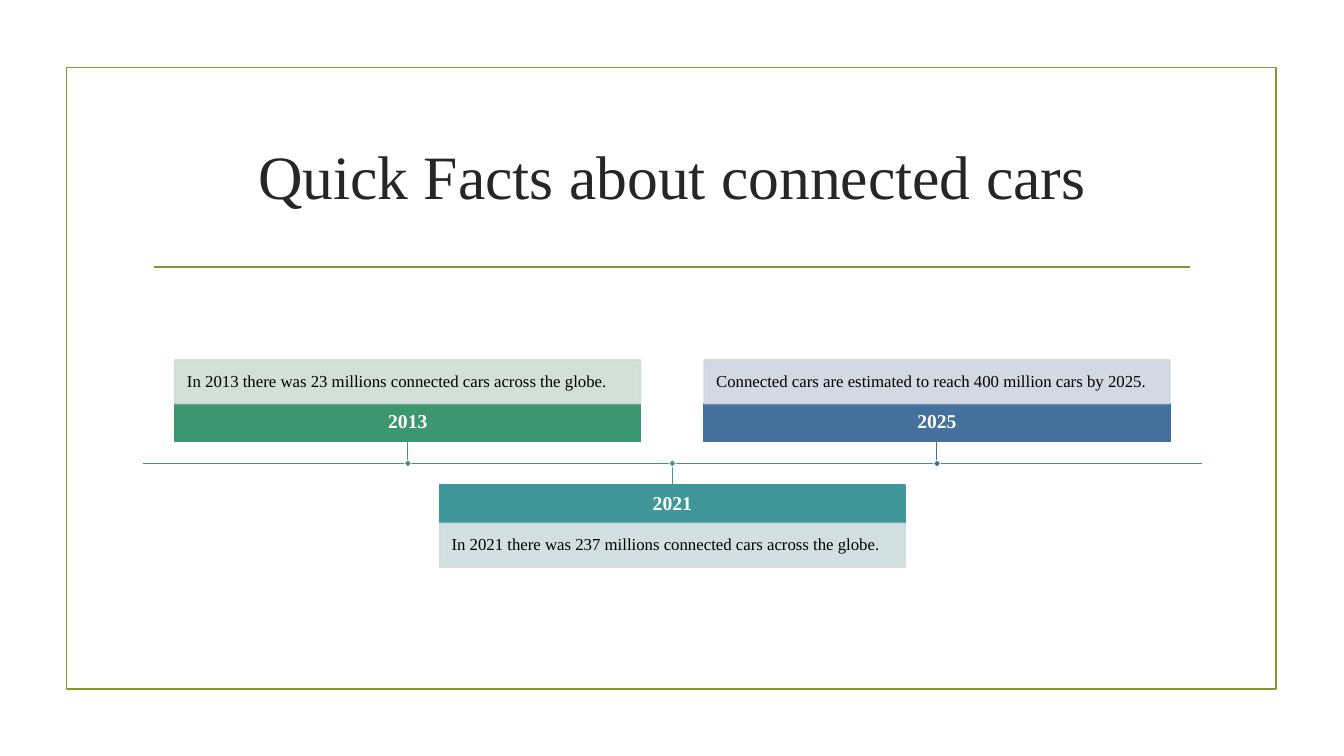
from lxml import etree
from pptx import Presentation
from pptx.dml.color import RGBColor
from pptx.enum.shapes import MSO_CONNECTOR, MSO_SHAPE
from pptx.enum.text import MSO_ANCHOR as Anchor, PP_ALIGN as Align
from pptx.oxml.ns import qn
from pptx.util import Cm, Pt

FONT = "Times New Roman"
OLIVE = RGBColor(0x83, 0x99, 0x2A)
CHARCOAL = RGBColor(0x26, 0x26, 0x26)
BLACK = RGBColor(0x00, 0x00, 0x00)
WHITE = RGBColor(0xFF, 0xFF, 0xFF)
GREEN = RGBColor(0x3C, 0x97, 0x70)
TEAL = RGBColor(0x40, 0x97, 0x9A)
BLUE = RGBColor(0x44, 0x70, 0x9D)
PALE_GREEN = RGBColor(0xCE, 0xDD, 0xD5)
PALE_TEAL = RGBColor(0xCF, 0xDD, 0xDE)
PALE_BLUE = RGBColor(0xCF, 0xD5, 0xDF)

# Year, fact, strong colour, pale colour
EVENTS = [
    ("2013", "In 2013 there was 23 millions connected cars across the globe.",
     GREEN, PALE_GREEN),
    ("2021", "In 2021 there was 237 millions connected cars across the globe.",
     TEAL, PALE_TEAL),
    ("2025", "Connected cars are estimated to reach 400 million cars by 2025.",
     BLUE, PALE_BLUE),
]
CARD_WIDTH, YEAR_HEIGHT, FACT_HEIGHT = Cm(11.73), Cm(0.96), Cm(1.1)
STEM, MARKER = Cm(0.55), Cm(0.13)


def add_line(slide, start, end, color, width):
    line = slide.shapes.add_connector(MSO_CONNECTOR.STRAIGHT, *start, *end)
    line.line.color.rgb = color
    line.line.width = Pt(width)
    etree.SubElement(line._element.spPr, qn("a:effectLst"))


def add_box(slide, box, fill, outline, width=1.25):
    shape = slide.shapes.add_shape(MSO_SHAPE.RECTANGLE, *box)
    shape.shadow.inherit = False
    if fill is None:
        shape.fill.background()
    else:
        shape.fill.solid()
        shape.fill.fore_color.rgb = fill
    shape.line.color.rgb = outline
    shape.line.width = Pt(width)
    return shape


def write(shape, text, size, color, align, margin, bold=False):
    frame = shape.text_frame
    frame.word_wrap = True
    frame.vertical_anchor = Anchor.MIDDLE
    frame.margin_left = frame.margin_right = margin
    frame.margin_top = frame.margin_bottom = margin
    paragraph = frame.paragraphs[0]
    paragraph.text = text
    paragraph.alignment = align
    paragraph.line_spacing = 0.9
    font = paragraph.font
    font.name, font.size, font.bold = FONT, Pt(size), bold
    font.color.rgb = color


def set_opacity(shape, percent):
    for color in shape._element.spPr.iter(qn("a:srgbClr")):
        etree.SubElement(color, qn("a:alpha"), val=str(percent * 1000))


def add_heading(slide, left, top, width, height):
    title = slide.shapes.add_textbox(left, top, width, height)
    write(title, "Quick Facts about connected cars", 44, CHARCOAL,
          Align.CENTER, Cm(0.2))
    # Rule below the title
    rule_y, inset = top + height + Cm(0.38), Cm(0.28)
    add_line(slide, (left + inset, rule_y), (left + width - inset, rule_y),
             OLIVE, 1.25)


def add_event(slide, center, axis, above, event):
    year, fact, strong, pale = event
    left = center - CARD_WIDTH // 2
    if above:
        stem_end = axis - STEM
        year_top = stem_end - YEAR_HEIGHT
        fact_top = year_top - FACT_HEIGHT
    else:
        stem_end = year_top = axis + STEM
        fact_top = year_top + YEAR_HEIGHT

    # Card
    year_box = add_box(slide, (left, year_top, CARD_WIDTH, YEAR_HEIGHT),
                       strong, strong)
    write(year_box, year, 14, WHITE, Align.CENTER, Cm(0.2), bold=True)
    fact_box = add_box(slide, (left, fact_top, CARD_WIDTH, FACT_HEIGHT),
                       pale, pale)
    set_opacity(fact_box, 90)
    write(fact_box, fact, 12, BLACK, Align.LEFT, Cm(0.3))

    # Stem and marker on the axis
    add_line(slide, (center, stem_end), (center, axis), strong, 0.75)
    marker = add_box(slide, (center - MARKER // 2, axis - MARKER // 2,
                             MARKER, MARKER), strong, WHITE, 0.5)
    marker.rotation = 45


def add_timeline(slide, left, axis, width):
    add_line(slide, (left, axis), (left + width, axis), GREEN, 1.25)
    step = width // (len(EVENTS) + 1)
    for index, event in enumerate(EVENTS):
        add_event(slide, left + step * (index + 1), axis, index % 2 == 0, event)


def main():
    presentation = Presentation()
    presentation.slide_width, presentation.slide_height = Cm(33.87), Cm(19.05)
    slide = presentation.slides.add_slide(presentation.slide_layouts[6])
    # Frame around the slide
    add_box(slide, (Cm(1.68), Cm(1.7), Cm(30.48), Cm(15.67)), None, OLIVE)
    add_heading(slide, Cm(3.61), Cm(2.72), Cm(26.67), Cm(3.63))
    add_timeline(slide, Cm(3.61), Cm(11.68), Cm(26.67))
    presentation.save("out.pptx")


if __name__ == "__main__":
    main()
